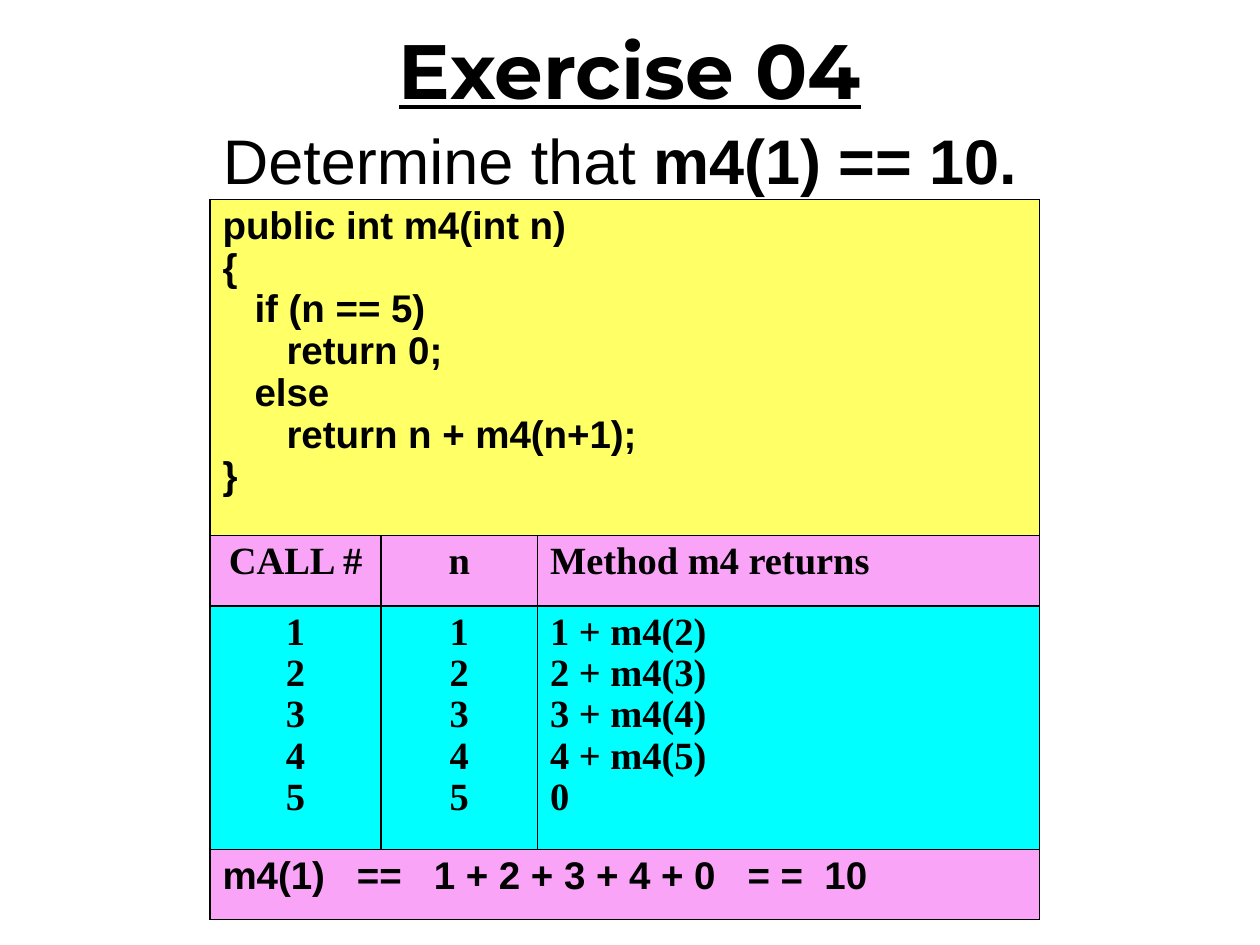
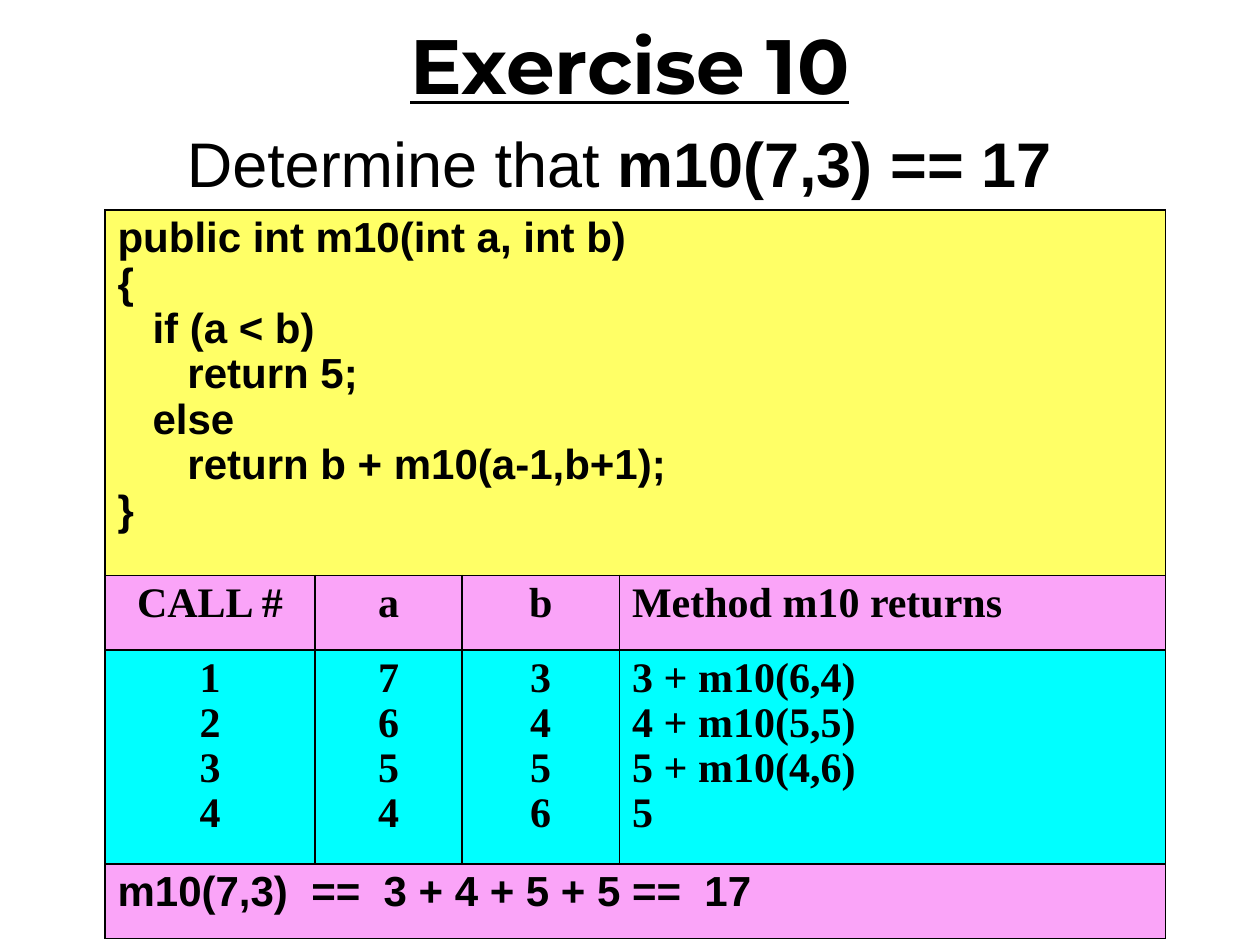
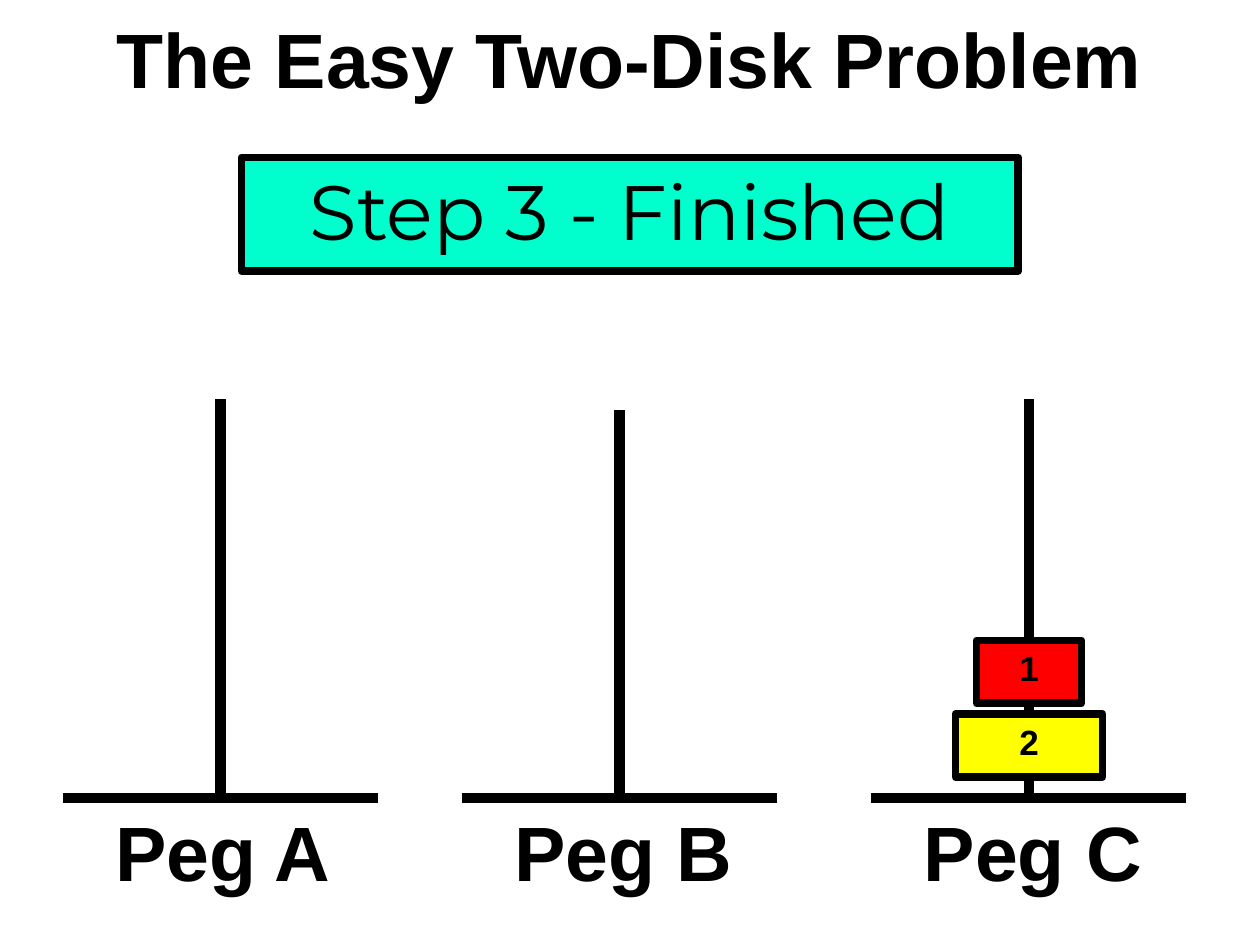
from lxml import etree
from pptx import Presentation, util as u
from pptx.dml.color import RGBColor
from pptx.enum import shapes, text
from pptx.oxml import ns

COLS, ROWS = 120, 90
BLACK, YELLOW, PINK, CYAN = "000000", "FFFF66", "FAA4F8", "00FFFF"
SANS, SERIF, DISPLAY = "Arial", "Times New Roman", "Montserrat"
LEFT, CENTER = text.PP_ALIGN.LEFT, text.PP_ALIGN.CENTER


def rgb(value):
    return RGBColor.from_string(value)


class Deck:
    def __init__(self):
        self.prs = Presentation()
        self.prs.slide_width, self.prs.slide_height = u.Inches(10), u.Inches(7.5)
        self.slide = None

    def x(self, col):
        return round(self.prs.slide_width * col / COLS)

    def y(self, row):
        return round(self.prs.slide_height * row / ROWS)

    def box(self, col, row, width, height):
        return self.x(col), self.y(row), self.x(width), self.y(height)

    def run(self, p, words, size, font=SANS, bold=True, underline=False):
        r = p.add_run()
        r.text = words
        f = r.font
        f.size, f.name, f.bold, f.underline = u.Pt(size), font, bold, underline
        f.color.rgb = rgb(BLACK)

    def title(self, row):
        self.slide = self.prs.slides.add_slide(self.prs.slide_layouts[5])
        sp = self.slide.shapes.title
        sp.left, sp.top, sp.width, sp.height = self.box(0, row, COLS, 15)
        tf = sp.text_frame
        tf.word_wrap, tf.auto_size = True, text.MSO_AUTO_SIZE.NONE
        tf.vertical_anchor = text.MSO_ANCHOR.MIDDLE
        p = tf.paragraphs[0]
        p.alignment = CENTER
        return p

    def rect(self, place, fill, words, size, font=SANS, bold=True):
        sp = self.slide.shapes.add_shape(shapes.MSO_SHAPE.RECTANGLE, *self.box(*place))
        sp.shadow.inherit = False
        sp.fill.solid()
        sp.fill.fore_color.rgb = rgb(fill)
        sp.line.color.rgb, sp.line.width = rgb(BLACK), u.Pt(4.5)
        tf = sp.text_frame
        tf.vertical_anchor = text.MSO_ANCHOR.TOP
        tf.paragraphs[0].alignment = CENTER
        self.run(tf.paragraphs[0], words, size, font, bold)

    def label(self, place, words):
        tf = self.slide.shapes.add_textbox(*self.box(*place)).text_frame
        tf.word_wrap = False
        self.run(tf.paragraphs[0], words, 44)

    def line(self, col1, row1, col2, row2):
        ln = self.slide.shapes.add_connector(
            shapes.MSO_CONNECTOR.STRAIGHT,
            self.x(col1), self.y(row1), self.x(col2), self.y(row2))
        ln.line.color.rgb, ln.line.width = rgb(BLACK), u.Pt(6)
        etree.SubElement(ln._element.spPr, ns.qn("a:effectLst"))

    def borders(self, cell):
        tcPr = cell._tc.get_or_add_tcPr()
        for i, side in enumerate("LRTB"):
            ln = etree.Element(ns.qn("a:ln" + side), w=str(u.Pt(1)))
            fill = etree.SubElement(ln, ns.qn("a:solidFill"))
            etree.SubElement(fill, ns.qn("a:srgbClr"), val=BLACK)
            tcPr.insert(i, ln)

    def cell(self, cell, lines, size, font, align):
        tf = cell.text_frame
        for i, words in enumerate(lines):
            p = tf.add_paragraph() if i else tf.paragraphs[0]
            p.alignment, p.line_spacing = align, 0.97
            self.run(p, words, size, font)

    def trace_table(self, col, row, widths, heights, size, code, heads, calls, result):
        place = self.box(col, row, sum(widths), sum(heights))
        table = self.slide.shapes.add_table(len(heights), len(widths), *place).table
        for column, width in zip(table.columns, widths):
            column.width = self.x(width)
        for table_row, height, fill in zip(table.rows, heights, (YELLOW, PINK, CYAN, PINK)):
            table_row.height = self.y(height)
            for cell in table_row.cells:
                cell.fill.solid()
                cell.fill.fore_color.rgb = rgb(fill)
                self.borders(cell)
        last = len(widths) - 1
        for r, lines in ((0, code), (3, [result])):
            table.cell(r, 0).merge(table.cell(r, last))
            self.cell(table.cell(r, 0), lines, size, SANS, LEFT)
        for c, (head, values) in enumerate(zip(heads, zip(*calls))):
            align = LEFT if c == last else CENTER
            self.cell(table.cell(1, c), [head], size, SERIF, align)
            self.cell(table.cell(2, c), values, size, SERIF, align)

    def exercise(self, number, claim, space_size, **table):
        p = self.title(3)
        self.run(p, f"Exercise {number}", 44, DISPLAY, underline=True)
        p.add_line_break()
        self.run(p, "Determine that ", 36, bold=False)
        self.run(p, claim, 36)
        self.run(p, " ", space_size, bold=False)
        self.trace_table(**table)

    def peg(self, name, col, top):
        base, middle = 76, col + 15
        self.line(col, base, col + 30, base)
        self.line(middle, base, middle, top)
        self.label((col + 3.8, base, 23.2, 10), f"Peg {name}")


def code_lines(signature, test, stop, step):
    return [f"public int {signature}", "{", f"   if ({test})", f"      return {stop};",
            "   else", f"      return {step};", "}"]


def main():
    deck = Deck()
    deck.exercise(
        "04", "m4(1) == 10.", 40, col=20, row=19, size=22,
        widths=(16.3, 14.9, 47.8), heights=(32, 6.7, 23.2, 6.7),
        code=code_lines("m4(int n)", "n == 5", "0", "n + m4(n+1)"),
        heads=("CALL #", "n", "Method m4 returns"),
        calls=[("1", "1", "1 + m4(2)"), ("2", "2", "2 + m4(3)"), ("3", "3", "3 + m4(4)"),
               ("4", "4", "4 + m4(5)"), ("5", "5", "0")],
        result="m4(1)   ==   1 + 2 + 3 + 4 + 0   = =  10")
    deck.exercise(
        "10", "m10(7,3) == 17", 44, col=10, row=20, size=24,
        widths=(20, 14, 15, 52), heights=(34.8, 7.1, 20.4, 7.1),
        code=code_lines("m10(int a, int b)", "a < b", "5", "b + m10(a-1,b+1)"),
        heads=("CALL #", "a", "b", "Method m10 returns"),
        calls=[("1", "7", "3", "3 + m10(6,4)"), ("2", "6", "4", "4 + m10(5,5)"),
               ("3", "5", "5", "5 + m10(4,6)"), ("4", "4", "6", "5")],
        result="m10(7,3)  ==  3 + 4 + 5 + 5 ==  17")

    deck.run(deck.title(-2), "The Easy Two-Disk Problem", 44)
    deck.rect((23, 15, 74, 10.8), "00FFCC", "Step 3 - Finished", 44, DISPLAY, False)
    for name, col, top in (("A", 6, 38), ("B", 44, 39), ("C", 83, 38)):
        deck.peg(name, col, top)
    deck.rect((91, 68, 14, 6), "FFFF00", "2", 20)
    deck.rect((93, 61, 10, 6), "FF0000", "1", 20)
    deck.prs.save("out.pptx")


if __name__ == "__main__":
    main()
